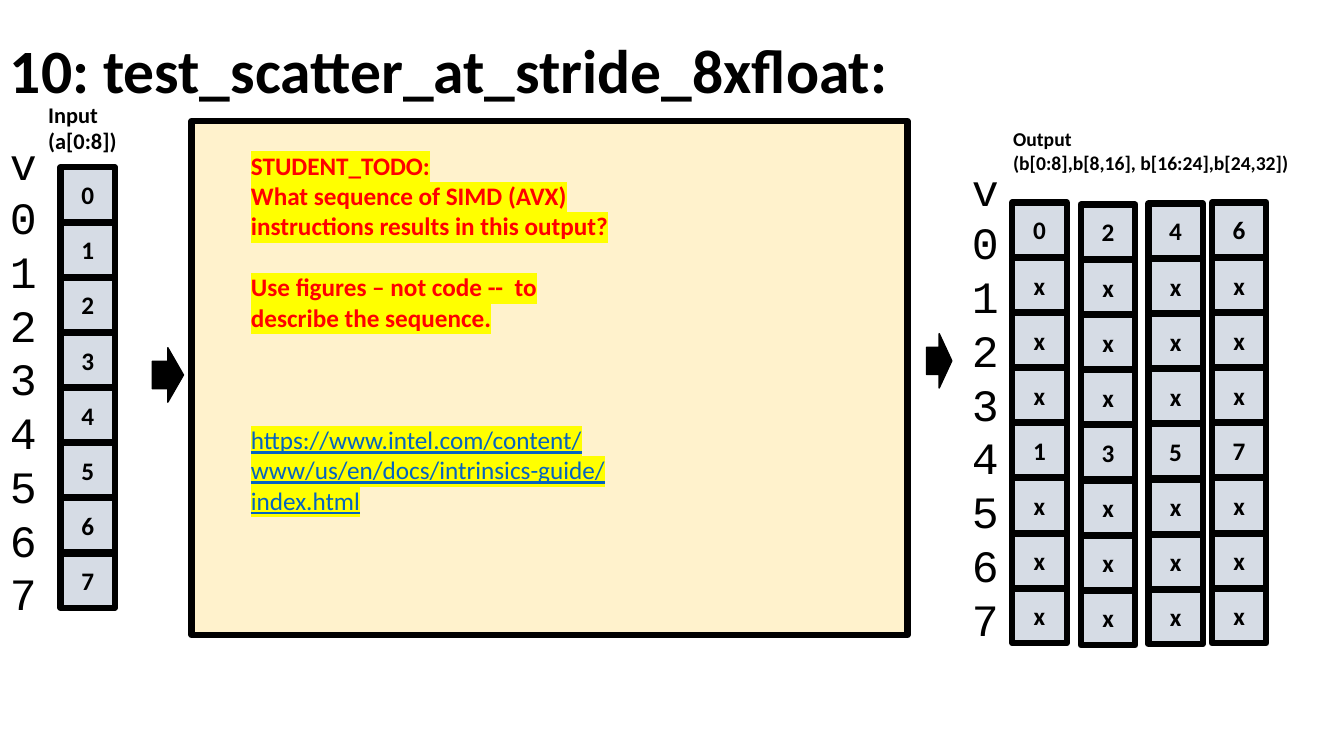
import pptx
import pptx.dml.color
import pptx.enum.shapes
import pptx.enum.text
import pptx.oxml
import pptx.oxml.ns
import pptx.util
from pptx.util import Inches

BLACK, RED, LINK_BLUE, YELLOW = "000000", "FF0000", "0563C1", "FFFF00"
CELL_FILL, PANEL_FILL = "D6DCE5", "FFF2CC"
CELL = 0.54
CELL_PITCH = 3.83 / 7
LANES = 8
STRIDE = 4
SHAPE = pptx.enum.shapes.MSO_SHAPE
MIDDLE = pptx.enum.text.MSO_ANCHOR.MIDDLE
CENTER = pptx.enum.text.PP_ALIGN.CENTER


def rgb(value):
    return pptx.dml.color.RGBColor.from_string(value)


class Diagram:
    """Holds the slide and the shared style of its elements."""

    def __init__(self, slide):
        self.shapes = slide.shapes
        self.font = "Calibri"
        self.heavy = 4.5

    def style(self, font, size, color=BLACK, bold=True, name=None):
        font.name = name or self.font
        font.size = pptx.util.Pt(size)
        font.bold = bold
        font.color.rgb = rgb(color)

    def text(self, left, top, width, height, lines, size, **style):
        box = self.shapes.add_textbox(
            Inches(left), Inches(top), Inches(width), Inches(height))
        frame = box.text_frame
        frame.word_wrap = True
        for number, line in enumerate(lines):
            paragraph = frame.add_paragraph() if number else frame.paragraphs[0]
            paragraph.text = line
            self.style(paragraph.font, size, **style)
        return frame

    def block(self, kind, left, top, width, height, fill, weight):
        shape = self.shapes.add_shape(
            kind, Inches(left), Inches(top), Inches(width), Inches(height))
        shape.shadow.inherit = False
        shape.fill.solid()
        shape.fill.fore_color.rgb = rgb(fill)
        shape.line.color.rgb = rgb(BLACK)
        shape.line.width = pptx.util.Pt(weight)
        return shape

    def arrow(self, left, top, width):
        self.block(SHAPE.RIGHT_ARROW, left, top, width, CELL, BLACK, 1)

    def column(self, left, top, values):
        """Stacks one cell per value."""
        for row, value in enumerate(values):
            cell = self.block(SHAPE.RECTANGLE, left, top + row * CELL_PITCH,
                              CELL, CELL, CELL_FILL, self.heavy)
            frame = cell.text_frame
            frame.vertical_anchor = MIDDLE
            paragraph = frame.paragraphs[0]
            paragraph.text = str(value)
            paragraph.alignment = CENTER
            self.style(paragraph.font, 18)

    def lane_index(self, left, top):
        """Writes the register letter and its lane numbers downwards."""
        frame = self.text(left, top, 0.55, 4.9, ["v", *map(str, range(LANES))],
                          32, bold=False, name="Courier New")
        for paragraph in frame.paragraphs:
            paragraph.line_spacing = pptx.util.Pt(38.4)

    def highlight(self, frame, color):
        for paragraph in frame.paragraphs:
            for run in paragraph.runs:
                run.font.color.rgb = paragraph.font.color.rgb
                mark = pptx.oxml.parse_xml(
                    f'<a:highlight {pptx.oxml.ns.nsdecls("a")}>'
                    f'<a:srgbClr val="{color}"/></a:highlight>')
                fill = run.font.fill._xPr.find(pptx.oxml.ns.qn("a:solidFill"))
                fill.addnext(mark)


def main():
    deck = pptx.Presentation()
    deck.slide_width, deck.slide_height = Inches(13.33), Inches(7.5)
    diagram = Diagram(deck.slides.add_slide(deck.slide_layouts[6]))

    title = diagram.text(0, 0, 11.5, 1.45,
                         ["10: test_scatter_at_stride_8xfloat:"], 44)
    title.vertical_anchor = MIDDLE
    title.paragraphs[0].line_spacing = 0.9

    diagram.column(0.6, 1.66, range(LANES))
    diagram.lane_index(0, 1.3)
    diagram.text(0.38, 0.95, 3.99, 0.64, ["Input", "(a[0:8])"], 16)
    diagram.arrow(1.51, 3.45, 0.31)

    diagram.lane_index(9.54, 1.55)
    diagram.text(9.95, 1.21, 3.2, 0.57,
                 ["Output", "(b[0:8],b[8,16], b[16:24],b[24,32])"], 14)
    diagram.arrow(9.19, 3.31, 0.25)

    diagram.block(SHAPE.RECTANGLE, 1.9, 1.2, 7.1, 5.1, PANEL_FILL, diagram.heavy)
    task = diagram.text(2.39, 1.44, 3.91, 3.74, [
        "STUDENT_TODO:",
        "What sequence of SIMD (AVX) instructions results in this output?",
        "Use figures – not code --  to describe the sequence.",
        "https://www.intel.com/content/www/us/en/docs/intrinsics-guide/index.html",
    ], 18, color=RED)
    hint, guide = task.paragraphs[2:]
    hint.space_before = pptx.util.Pt(22)
    guide.space_before = pptx.util.Pt(66)
    diagram.style(guide.font, 18, color=LINK_BLUE, bold=False)
    guide.font.underline = True
    diagram.highlight(task, YELLOW)

    output_places = [(10.04, 2.01), (10.72, 2.03), (11.39, 2.02), (12.02, 2.01)]
    for number, (left, top) in enumerate(output_places):
        values = ["x"] * LANES
        values[::STRIDE] = [2 * number, 2 * number + 1]
        diagram.column(left, top, values)

    deck.save("out.pptx")


if __name__ == "__main__":
    main()
